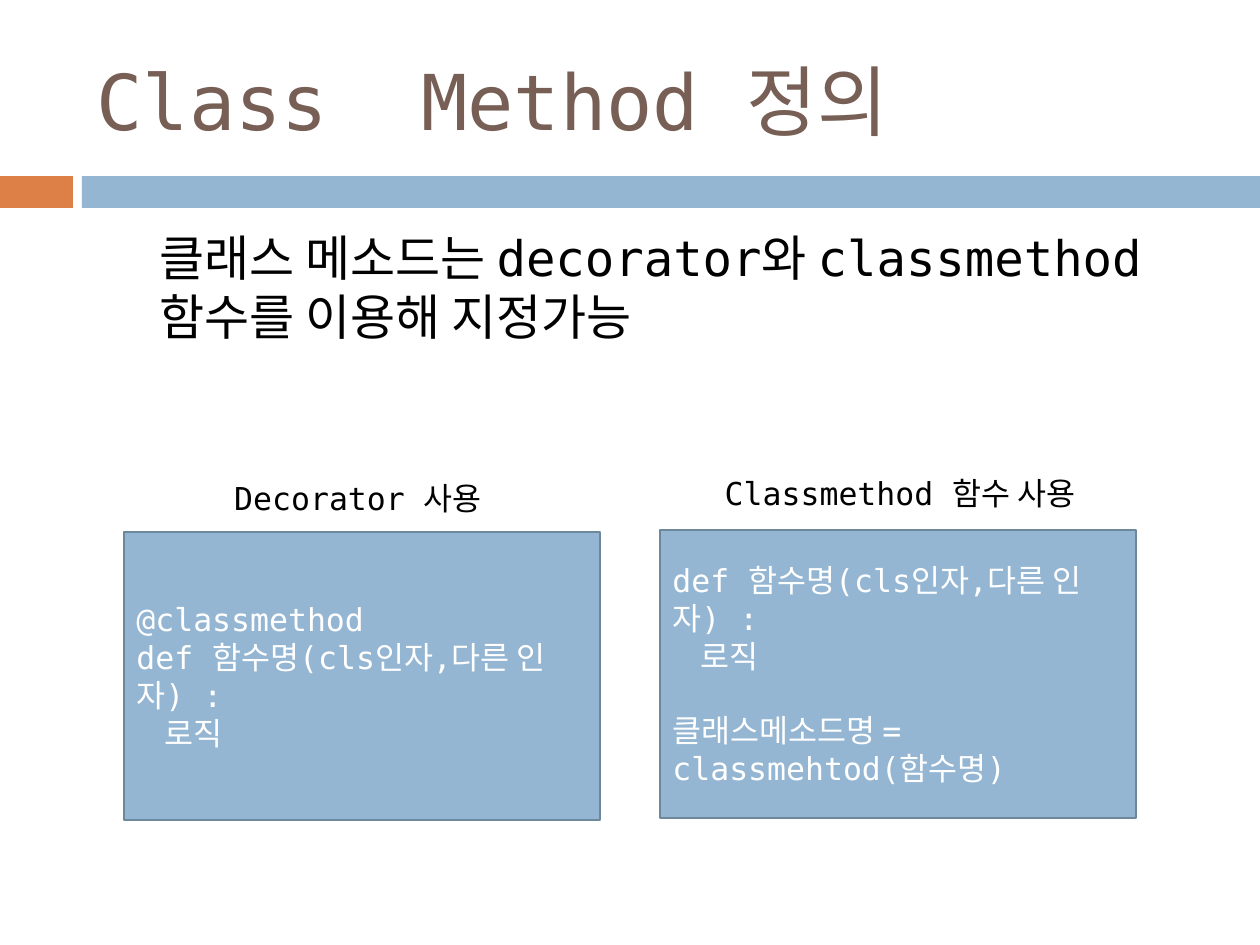
from lxml import etree
from pptx import Presentation
from pptx.dml.color import RGBColor
from pptx.enum.shapes import MSO_SHAPE
from pptx.enum.text import MSO_ANCHOR, MSO_AUTO_SIZE, PP_ALIGN
from pptx.oxml.ns import qn
from pptx.util import Emu, Pt

RECTANGLE = MSO_SHAPE.RECTANGLE
TOP, MIDDLE = MSO_ANCHOR.TOP, MSO_ANCHOR.MIDDLE
LEFT, CENTER = PP_ALIGN.LEFT, PP_ALIGN.CENTER
NO_FIT = MSO_AUTO_SIZE.NONE
FIT_SHAPE = MSO_AUTO_SIZE.SHAPE_TO_FIT_TEXT

FONT = "DejaVu Sans Mono"
BLUE, ORANGE, OUTLINE = "94B6D2", "DD8047", "6D879B"
BROWN, BLACK, WHITE = "775F55", "000000", "FFFFFF"
CODE_SIZE = 18
BLANK_LINE = 21

TITLE = "Class  Method 정의"
BODY = "클래스 메소드는 decorator와 classmethod 함수를 이용해 지정가능"
BANDS = [((0, 176, 73, 32), ORANGE), ((82, 176, 1178, 32), BLUE)]
SIGNATURE = "def 함수명(cls인자,다른 인자) :"
LOGIC = "    로직"
EXAMPLES = [
    {
        "caption": "Decorator 사용",
        "caption_box": (184, 473, 348, 50),
        "code": [("@classmethod", 0), (SIGNATURE, 0), (LOGIC, 0)],
        "code_box": (124, 532, 476, 288),
    },
    {
        "caption": "Classmethod 함수 사용",
        "caption_box": (709, 468, 382, 50),
        "code": [(SIGNATURE, 0), (LOGIC, 0),
                 ("클래스메소드명 = classmehtod(함수명)", BLANK_LINE)],
        "code_box": (660, 530, 476, 288),
    },
]


def px(value):
    return Emu(round(value * 914400 / 126))


def color(value):
    return RGBColor.from_string(value)


def place(shape, box):
    shape.left, shape.top, shape.width, shape.height = map(px, box)


def write(shape, lines, size, text_color, align=LEFT, anchor=TOP, fit=NO_FIT):
    frame = shape.text_frame
    frame.word_wrap = True
    frame.auto_size = fit
    frame.vertical_anchor = anchor
    for index, (text, space) in enumerate(lines):
        paragraph = frame.add_paragraph() if index else frame.paragraphs[0]
        paragraph.alignment = align
        paragraph.space_before = Pt(space)
        run = paragraph.add_run()
        run.text = text
        run.font.name = FONT
        run.font.size = Pt(size)
        run.font.color.rgb = color(text_color)


def add_rectangle(slide, box, fill, line=None):
    shape = slide.shapes.add_shape(RECTANGLE, *map(px, box))
    shape.shadow.inherit = False
    shape.fill.solid()
    shape.fill.fore_color.rgb = color(fill)
    if line:
        shape.line.color.rgb = color(line)
        shape.line.width = Pt(1.5)
    else:
        shape.line.fill.background()
    return shape


def remove_bullet(paragraph, indent):
    properties = paragraph._p.get_or_add_pPr()
    properties.set("marL", str(px(indent)))
    properties.set("indent", "0")
    etree.SubElement(properties, qn("a:buNone"))


def main():
    presentation = Presentation()
    presentation.slide_width, presentation.slide_height = px(1260), px(945)
    slide = presentation.slides.add_slide(presentation.slide_layouts[1])

    for box, fill in BANDS:
        add_rectangle(slide, box, fill)

    title = slide.shapes.title
    place(title, (84, 32, 1124, 136))
    write(title, [(TITLE, 0)], 44, BROWN, anchor=MIDDLE)

    body = slide.placeholders[1]
    place(body, (84, 221, 1124, 152))
    remove_bullet(body.text_frame.paragraphs[0], 63)
    write(body, [(BODY, 0)], 28, BLACK)

    for example in EXAMPLES:
        code = add_rectangle(slide, example["code_box"], BLUE, OUTLINE)
        write(code, example["code"], CODE_SIZE, WHITE, anchor=MIDDLE)
    for example in EXAMPLES:
        caption = slide.shapes.add_textbox(*map(px, example["caption_box"]))
        write(caption, [(example["caption"], 0)], CODE_SIZE, BLACK, CENTER, fit=FIT_SHAPE)

    presentation.save("out.pptx")


if __name__ == "__main__":
    main()
